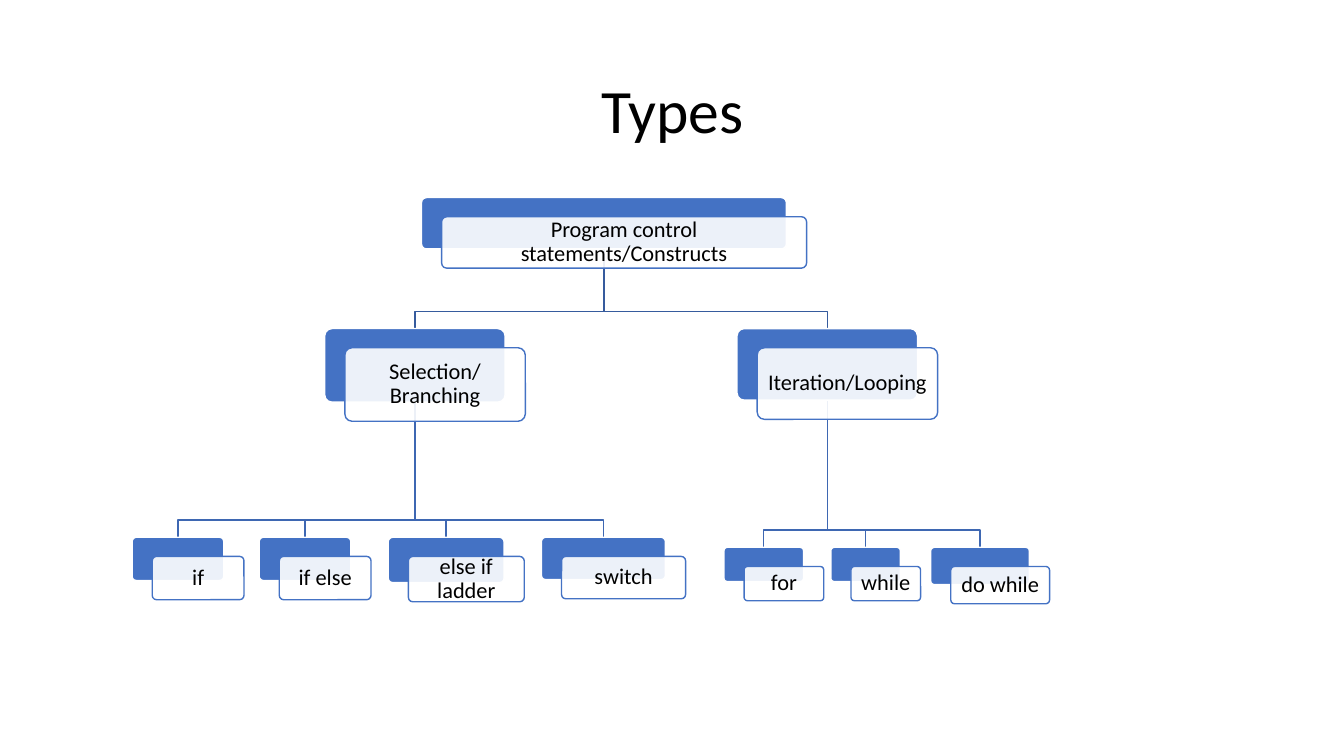
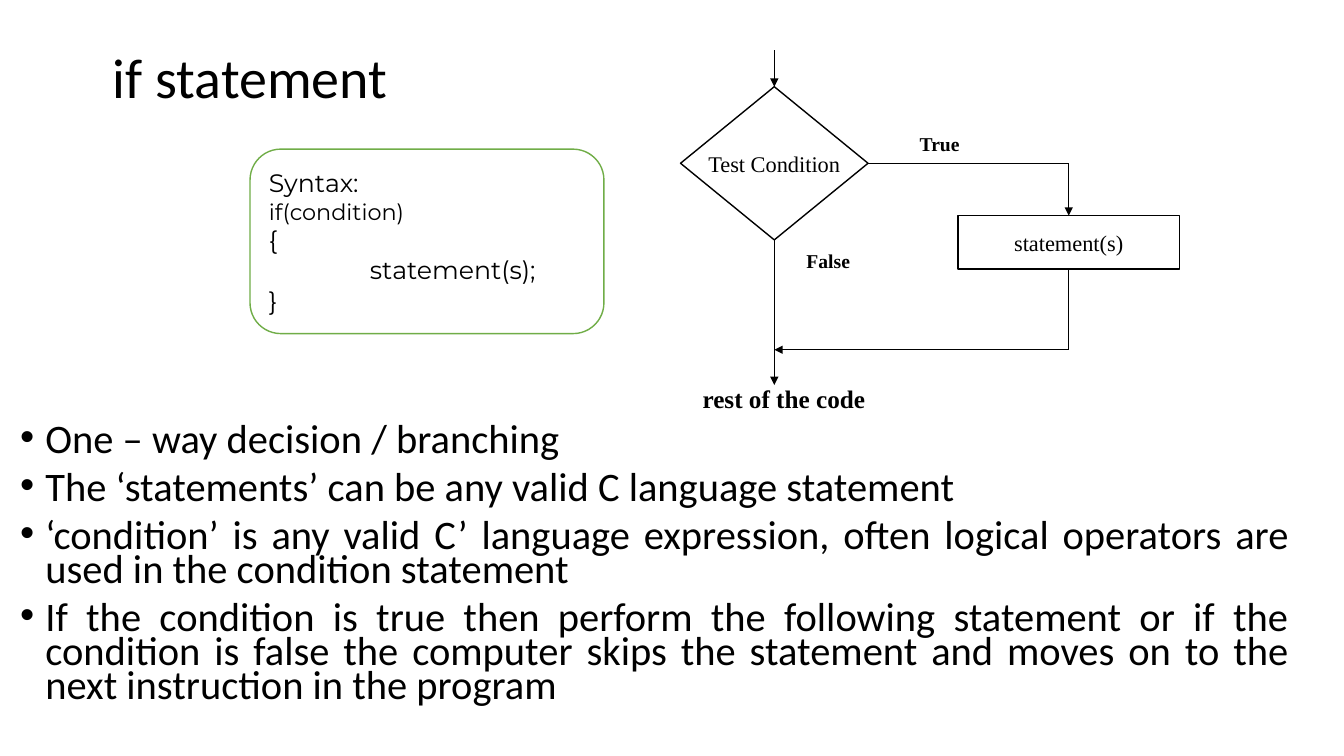
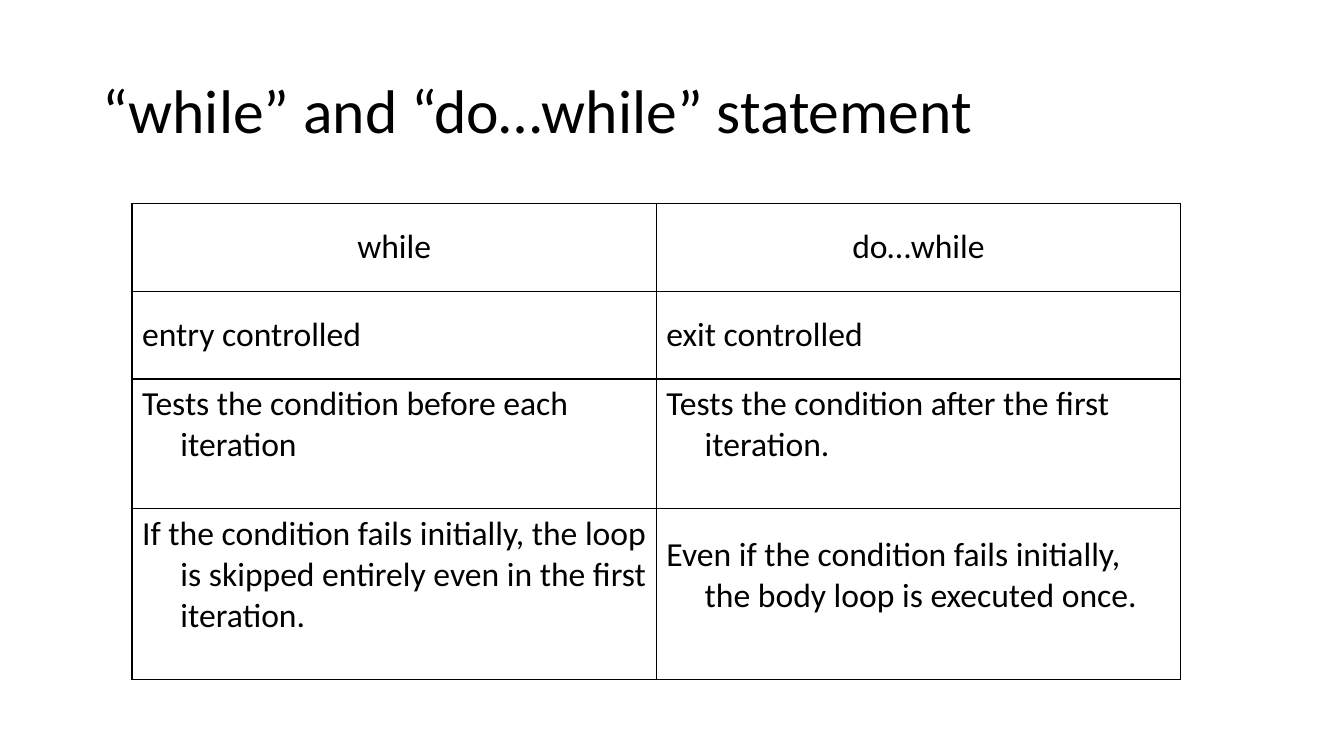
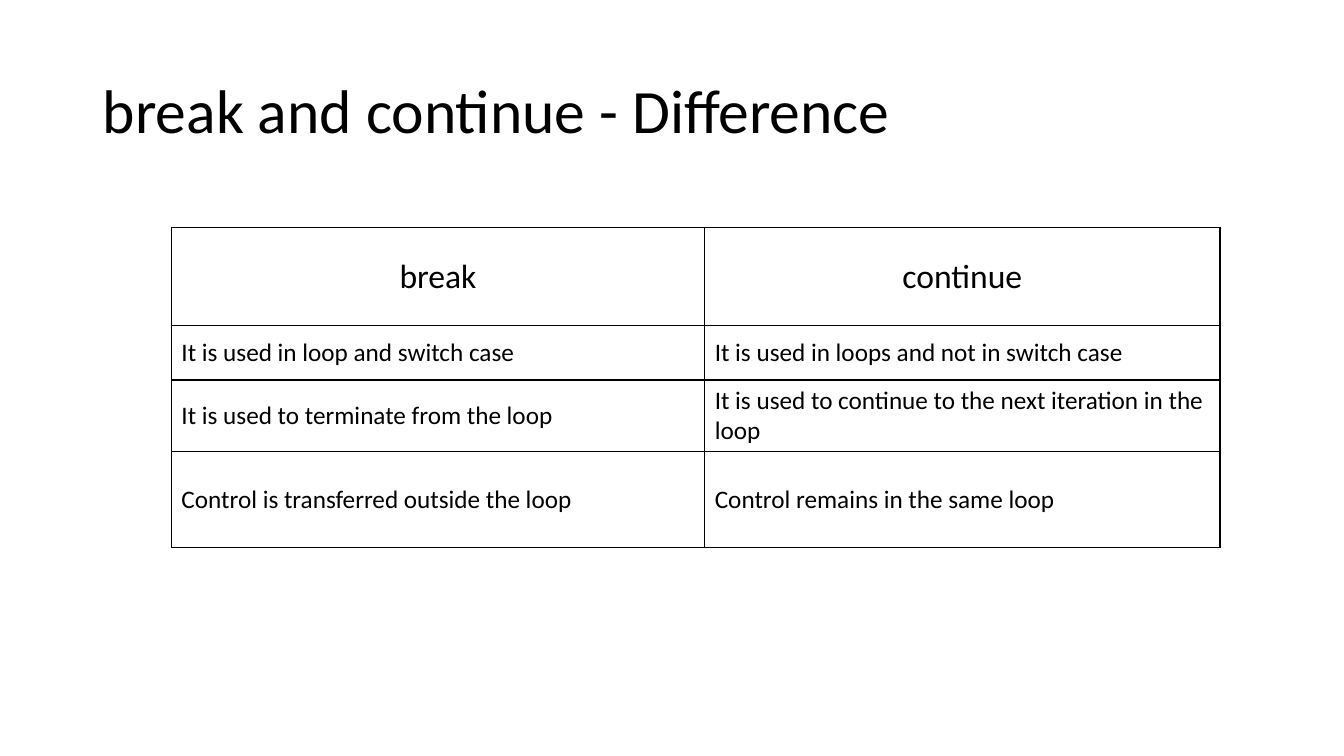
from lxml.etree import SubElement
from pptx import Presentation
from pptx.dml.color import RGBColor
from pptx.enum.shapes import MSO_CONNECTOR, MSO_SHAPE
from pptx.enum.text import MSO_ANCHOR, MSO_AUTO_SIZE, PP_ALIGN
from pptx.oxml.ns import qn
from pptx.util import Inches, Pt

# Shared style
BLACK = RGBColor(0x00, 0x00, 0x00)
WHITE = RGBColor(0xFF, 0xFF, 0xFF)
BLUE = RGBColor(0x44, 0x72, 0xC4)
DARK_BLUE = RGBColor(0x36, 0x5B, 0x9D)
MID_BLUE = RGBColor(0x3E, 0x67, 0xB2)
GREEN = RGBColor(0x70, 0xAD, 0x47)
SANS, SERIF, CODE = "Calibri", "Times New Roman", "Montserrat"
TITLE_BOX = (0.92, 0.4, 11.5, 1.45)
CONTENT_LAYOUT, TITLE_LAYOUT = 1, 5

# Tree cards: a blue back card and a pale front card shifted from it
CARD_SHIFT = (0.2, 0.19)
BRANCH_DROP = 0.17


def inches(*lengths):
    return [Inches(length) for length in lengths]


def format_paragraph(paragraph, size, font=SANS, align=PP_ALIGN.LEFT, bold=False, spacing=None):
    paragraph.alignment = align
    if spacing:
        paragraph.line_spacing = spacing
    for run in paragraph.runs:
        run.font.size = Pt(size)
        run.font.name = font
        run.font.bold = bold
        run.font.color.rgb = BLACK


def set_indent(paragraph, left, first=0):
    properties = paragraph._p.get_or_add_pPr()
    properties.set("marL", str(Inches(left)))
    properties.set("indent", str(Inches(first)))


def add_slide(presentation, layout, title, box=TITLE_BOX, size=44, align=PP_ALIGN.LEFT):
    slide = presentation.slides.add_slide(presentation.slide_layouts[layout])
    place(slide.shapes.title, box)
    text_frame = slide.shapes.title.text_frame
    text_frame.text = title
    text_frame.auto_size = MSO_AUTO_SIZE.NONE
    text_frame.vertical_anchor = MSO_ANCHOR.MIDDLE
    format_paragraph(text_frame.paragraphs[0], size, align=align, spacing=0.9)
    return slide


def place(shape, box):
    shape.left, shape.top, shape.width, shape.height = inches(*box)


def add_box(slide, kind, box, fill, line, line_width=1):
    shape = slide.shapes.add_shape(kind, *inches(*box))
    shape.shadow.inherit = False
    shape.fill.solid()
    shape.fill.fore_color.rgb = fill
    shape.line.color.rgb = line
    shape.line.width = Pt(line_width)
    shape.text_frame.vertical_anchor = MSO_ANCHOR.MIDDLE
    return shape


# Tree diagram
def add_card(slide, text, box):
    left, top, width, height = box
    front_box = (left + CARD_SHIFT[0], top + CARD_SHIFT[1], width, height)
    back = add_box(slide, MSO_SHAPE.ROUNDED_RECTANGLE, box, BLUE, WHITE)
    front = add_box(slide, MSO_SHAPE.ROUNDED_RECTANGLE, front_box, WHITE, BLUE)
    for card in (back, front):
        card.adjustments[0] = 0.1
    fill_colour = front.element.find(".//" + qn("a:srgbClr"))
    SubElement(fill_colour, qn("a:alpha")).set("val", "90000")

    text_frame = front.text_frame
    text_frame.margin_left = text_frame.margin_right = Inches(0.07)
    text_frame.margin_top = text_frame.margin_bottom = Inches(0.07)
    text_frame.word_wrap = True
    text_frame.text = text
    format_paragraph(text_frame.paragraphs[0], 16, align=PP_ALIGN.CENTER, spacing=0.9)


def add_branch(slide, parent_box, child_box, colour):
    start_x = parent_box[0] + parent_box[2] / 2
    end_x = child_box[0] + child_box[2] / 2
    end_y = child_box[1]
    bend_y = end_y - BRANCH_DROP
    builder = slide.shapes.build_freeform(
        *inches(start_x, parent_box[1] + parent_box[3]))
    points = [(start_x, bend_y), (end_x, bend_y), (end_x, end_y)]
    builder.add_line_segments([inches(*point) for point in points], close=False)
    branch = builder.convert_to_shape()
    branch.shadow.inherit = False
    branch.fill.background()
    branch.line.color.rgb = colour
    branch.line.width = Pt(1)


def add_tree(slide, left, top, root, groups):
    def shifted(box):
        return (left + box[0], top + box[1], box[2], box[3])

    root_text, root_box = root
    cards = [(root_text, shifted(root_box))]
    for group_text, group_box, leaves in groups:
        group_box = shifted(group_box)
        cards.append((group_text, group_box))
        add_branch(slide, cards[0][1], group_box, DARK_BLUE)
        for leaf_text, leaf_box in leaves:
            leaf_box = shifted(leaf_box)
            cards.append((leaf_text, leaf_box))
            add_branch(slide, group_box, leaf_box, MID_BLUE)
    for text, box in cards:
        add_card(slide, text, box)


def build_types_slide(presentation):
    slide = add_slide(presentation, TITLE_LAYOUT, "Types", align=PP_ALIGN.CENTER)
    root = ("Program control statements/Constructs", (2.87, 0, 3.62, 0.51))
    selection = ("Selection/ Branching", (1.91, 1.3, 1.79, 0.73), [
        ("if", (0, 3.37, 0.91, 0.43)),
        ("if else", (1.26, 3.37, 0.91, 0.43)),
        ("else if ladder", (2.54, 3.37, 1.15, 0.45)),
        ("switch", (4.06, 3.37, 1.23, 0.42)),
    ])
    iteration = ("Iteration/Looping", (6, 1.3, 1.79, 0.71), [
        ("for", (5.87, 3.47, 0.79, 0.34)),
        ("while", (6.93, 3.47, 0.69, 0.34)),
        ("do while", (7.92, 3.47, 0.98, 0.37)),
    ])
    add_tree(slide, 1.31, 1.96, root, [selection, iteration])


# Flowchart
def add_line(slide, start, end, width=0.75, arrow=False, begin_at=None, end_at=None):
    line = slide.shapes.add_connector(
        MSO_CONNECTOR.STRAIGHT, *inches(*start), *inches(*end))
    if begin_at:
        line.begin_connect(*begin_at)
    if end_at:
        line.end_connect(*end_at)
    line.line.color.rgb = BLACK
    line.line.width = Pt(width)
    if arrow:
        SubElement(line.line._get_or_add_ln(), qn("a:tailEnd")).set("type", "triangle")
    SubElement(line.element.spPr, qn("a:effectLst"))


def add_label(slide, text, box, size):
    label = slide.shapes.add_textbox(*inches(*box))
    label.text_frame.word_wrap = True
    label.text_frame.text = text
    format_paragraph(label.text_frame.paragraphs[0], size, SERIF, PP_ALIGN.CENTER, bold=True)


def add_step(slide, kind, text, box):
    step = add_box(slide, kind, box, WHITE, BLACK)
    step.text_frame.word_wrap = False
    step.text_frame.text = text
    format_paragraph(step.text_frame.paragraphs[0], 16, SERIF, PP_ALIGN.CENTER)
    return step


def add_flowchart(slide, left, top):
    main_x, side_x = left + 1.01, left + 3.93
    test_y, join_y = top + 1.12, top + 2.97
    test = add_step(slide, MSO_SHAPE.DIAMOND, "Test Condition",
                    (main_x - 0.93, test_y - 0.76, 1.86, 1.52))
    statement = add_step(slide, MSO_SHAPE.RECTANGLE, "statement(s)",
                         (side_x - 1.1, top + 1.64, 2.2, 0.53))

    # Main path
    add_line(slide, (main_x, top), (main_x, test_y - 0.76), arrow=True, end_at=(test, 0))
    add_line(slide, (main_x, test_y + 0.76), (main_x, top + 3.32), arrow=True,
             begin_at=(test, 2))

    # True path
    add_line(slide, (main_x + 0.93, test_y), (side_x, test_y), begin_at=(test, 3))
    add_line(slide, (side_x, test_y), (side_x, top + 1.64), arrow=True,
             end_at=(statement, 0))
    add_line(slide, (side_x, top + 2.17), (side_x, join_y), 0.5, begin_at=(statement, 2))
    add_line(slide, (side_x, join_y), (main_x, join_y), 0.5, arrow=True)

    add_label(slide, "True", (left + 2.08, top + 0.76, 1.14, 0.34), 14)
    add_label(slide, "False", (main_x, top + 1.92, 1.07, 0.34), 14)
    add_label(slide, "rest of the code", (left, top + 3.25, 2.21, 0.4), 18)


def add_syntax_box(slide, box):
    syntax = add_box(slide, MSO_SHAPE.ROUNDED_RECTANGLE, box, WHITE, GREEN)
    text_frame = syntax.text_frame
    text_frame.word_wrap = True
    text_frame.text = "Syntax:\nif(condition)\n{\nstatement(s);\n}"
    for paragraph in text_frame.paragraphs:
        format_paragraph(paragraph, 16 if paragraph.text == "if(condition)" else 18, CODE)
    set_indent(text_frame.paragraphs[3], 1)


def add_bullets(slide, box, lines):
    body = slide.placeholders[1]
    place(body, box)
    text_frame = body.text_frame
    text_frame.text = "\n".join(lines)
    text_frame.auto_size = MSO_AUTO_SIZE.NONE
    for paragraph in text_frame.paragraphs:
        format_paragraph(paragraph, 28.9, align=PP_ALIGN.JUSTIFY, spacing=0.7)
        paragraph.space_before = Pt(10)
        set_indent(paragraph, 0.25, -0.25)


def build_if_slide(presentation):
    slide = add_slide(presentation, CONTENT_LAYOUT, "if statement",
                      (1.02, 0.38, 9.57, 0.84), 40)
    add_bullets(slide, (0.1, 4.18, 12.79, 3.14), [
        "One – way decision / branching",
        "The ‘statements’ can be any valid C language statement",
        "‘condition’ is any valid C’ language expression, often logical operators "
        "are used in the condition statement",
        "If the condition is true then perform the following statement or if the "
        "condition is false the computer skips the statement and moves on to the "
        "next instruction in the program",
    ])
    add_flowchart(slide, 6.67, 0.5)
    add_syntax_box(slide, (2.48, 1.48, 3.51, 1.83))


# Comparison tables
def set_borders(cell):
    properties = cell._tc.get_or_add_tcPr()
    for side in ("a:lnL", "a:lnR", "a:lnT", "a:lnB"):
        border = SubElement(properties, qn(side))
        border.set("w", str(Pt(1)))
        fill = SubElement(border, qn("a:solidFill"))
        SubElement(fill, qn("a:srgbClr")).set("val", str(BLACK))


def add_comparison(slide, left, top, widths, heights, rows, text_size, hanging=0):
    frame = slide.shapes.add_table(
        len(rows), len(widths), *inches(left, top, sum(widths), sum(heights)))
    table = frame.table
    table.first_row = table.horz_banding = False
    for column, width in zip(table.columns, widths):
        column.width = Inches(width)
    for row_index, (row, texts) in enumerate(zip(table.rows, rows)):
        row.height = Inches(heights[row_index])
        for cell, text in zip(row.cells, texts):
            set_borders(cell)
            cell.fill.background()
            cell.vertical_anchor = MSO_ANCHOR.MIDDLE
            cell.text = text
            paragraph = cell.text_frame.paragraphs[0]
            if row_index == 0:
                format_paragraph(paragraph, 24, align=PP_ALIGN.CENTER)
            else:
                format_paragraph(paragraph, text_size)
                set_indent(paragraph, hanging, -hanging)
    return table


def build_while_slide(presentation):
    slide = add_slide(presentation, TITLE_LAYOUT, "“while” and “do…while” statement")
    table = add_comparison(slide, 1.31, 2.02, [5.2, 5.2], [0.87, 0.87, 1.28, 1.7], [
        ("while", "do…while"),
        ("entry controlled", "exit controlled"),
        ("Tests the condition before each iteration",
         "Tests the condition after the first iteration."),
        ("If the condition fails initially, the loop is skipped entirely even in "
         "the first iteration.",
         "Even if the condition fails initially, the body loop is executed once."),
    ], 24, hanging=0.38)
    # The long rows keep free space under their text
    for row_index in (2, 3):
        for cell in table.rows[row_index].cells:
            cell.margin_bottom = Inches(0.42)


def build_break_slide(presentation):
    slide = add_slide(presentation, TITLE_LAYOUT, "break and continue - Difference",
                      (0.92, 0.4, 10.2, 1.45))
    add_comparison(slide, 1.7, 2.26, [5.29, 5.11], [0.97, 0.54, 0.71, 0.95], [
        ("break", "continue"),
        ("It is used in loop and switch case",
         "It is used in loops and not in switch case"),
        ("It is used to terminate from the loop",
         "It is used to continue to the next iteration in the loop"),
        ("Control is transferred outside the loop", "Control remains in the same loop"),
    ], 18)


def main():
    presentation = Presentation()
    presentation.slide_width, presentation.slide_height = inches(13.33, 7.5)
    build_types_slide(presentation)
    build_if_slide(presentation)
    build_while_slide(presentation)
    build_break_slide(presentation)
    presentation.save("out.pptx")


if __name__ == "__main__":
    main()
